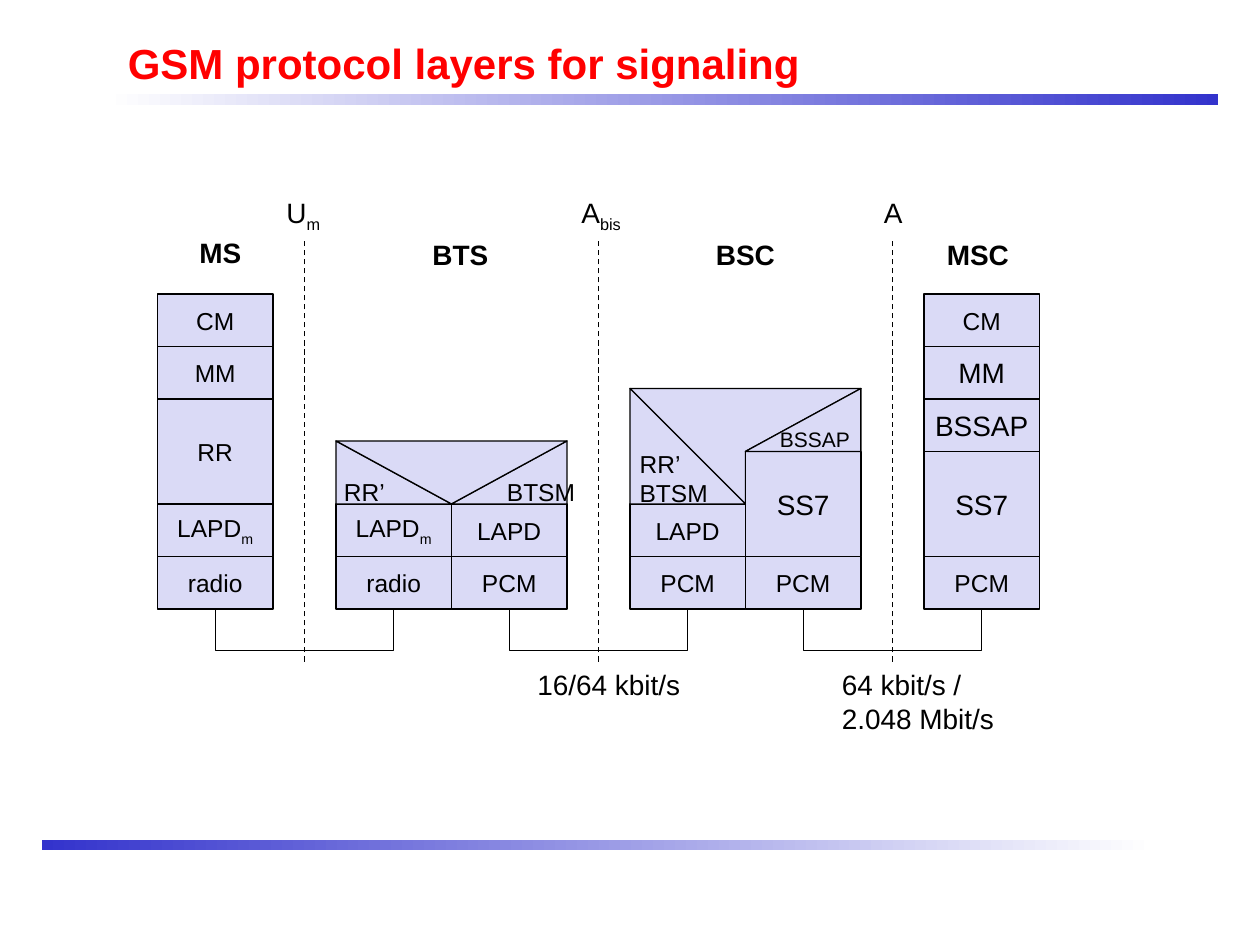
"""Build a slide of the GSM signaling protocol layers."""
from dataclasses import dataclass

from lxml import etree
from pptx import Presentation
from pptx.dml.color import RGBColor
from pptx.enum.dml import MSO_LINE
from pptx.enum.shapes import MSO_CONNECTOR, MSO_SHAPE
from pptx.enum.text import MSO_ANCHOR, MSO_AUTO_SIZE, PP_ALIGN
from pptx.oxml.ns import qn
from pptx.util import Pt

PX = 7620
RECTANGLE = MSO_SHAPE.RECTANGLE
RIGHT_TRIANGLE = MSO_SHAPE.RIGHT_TRIANGLE
TRIANGLE = MSO_SHAPE.ISOSCELES_TRIANGLE
STRAIGHT, ELBOW = MSO_CONNECTOR.STRAIGHT, MSO_CONNECTOR.ELBOW
DASH = MSO_LINE.DASH
MIDDLE, TOP = MSO_ANCHOR.MIDDLE, MSO_ANCHOR.TOP
LEFT, CENTER = PP_ALIGN.LEFT, PP_ALIGN.CENTER
FIT_SHAPE = MSO_AUTO_SIZE.SHAPE_TO_FIT_TEXT

BLUE, WHITE, BLACK, RED, LAVENDER = "3333CC", "FFFFFF", "000000", "FF0000", "DADAF6"
COLUMN, ROW, BASE = 110, 50, 580
LINK_SPAN, LINK_DROP = 170, 40
INSETS = (12, 6, 12, 6)


@dataclass
class Layer:
    text: str
    size: int = 14
    rows: int = 1
    subscript: str = ""


@dataclass
class Stack:
    left: int
    layers: list[Layer]


@dataclass
class Wedge:
    left: int
    top: int
    width: int
    height: int
    kind: int = RIGHT_TRIANGLE
    flip: str = ""
    text: str = ""
    size: int = 14
    insets: tuple = INSETS
    align: int = CENTER


@dataclass
class Label:
    left: int
    top: int
    width: int
    height: int
    text: str
    subscript: str = ""
    bold: bool = False


@dataclass
class Bar:
    left: int
    top: int
    start: str
    end: str


LAPD_M = Layer("LAPD", subscript="m")
LAPD, PCM, RADIO = Layer("LAPD"), Layer("PCM"), Layer("radio")
CM, SS7 = Layer("CM"), Layer("SS7", 16, 2)

STACKS = [
    Stack(150, [RADIO, LAPD_M, Layer("RR", rows=2), Layer("MM"), CM]),
    Stack(320, [RADIO, LAPD_M]),
    Stack(430, [PCM, LAPD]),
    Stack(600, [PCM, LAPD]),
    Stack(710, [PCM, SS7]),
    Stack(880, [PCM, SS7, Layer("BSSAP", 16), Layer("MM", 16), CM]),
]
WEDGES = [
    Wedge(320, 420, COLUMN, 60, text="RR’", insets=(12, 6, 31, 0)),
    Wedge(430, 420, COLUMN, 60, flip="flipH", text="BTSM", insets=(36, 6, 12, 0)),
    Wedge(320, 420, 2 * COLUMN, 60, TRIANGLE, "flipV"),
    Wedge(600, 370, COLUMN, 110, text="RR’\nBTSM", insets=(0, 6, 12, 0), align=LEFT),
    Wedge(710, 370, COLUMN, 60, flip="flipH", text="BSSAP", size=12, insets=(12, 6, 26, 0)),
]
LABELS = [
    Label(261, 180, 59, 49, "U", "m"),
    Label(542, 180, 65, 49, "A", "bis"),
    Label(830, 180, 44, 44, "A"),
    Label(178, 218, 67, 44, "MS", bold=True),
    Label(400, 220, 80, 44, "BTS", bold=True),
    Label(670, 220, 83, 44, "BSC", bold=True),
    Label(890, 220, 86, 44, "MSC", bold=True),
    Label(500, 630, 164, 44, "16/64 kbit/s"),
    Label(790, 630, 173, 77, "64 kbit/s /\n2.048 Mbit/s"),
]
BARS = [Bar(100, 90, WHITE, BLUE), Bar(40, 800, BLUE, WHITE)]
INTERFACES = [290, 570, 850]
BSC_RELAY = [(820, 370), (600, 370), (710, 480), (710, 430)]


def rgb(value: str) -> RGBColor:
    return RGBColor.from_string(value)


def outline(shape) -> None:
    shape.shadow.inherit = False
    shape.fill.solid()
    shape.fill.fore_color.rgb = rgb(LAVENDER)
    shape.line.color.rgb = rgb(BLACK)
    shape.line.width = Pt(0.75)


def write(shape, text: str, size: int, subscript: str = "", color: str = BLACK,
          bold: bool = False, align: int = LEFT, anchor: int = TOP,
          insets: tuple = INSETS, wrap: bool = False) -> None:
    frame = shape.text_frame
    frame.text = text
    frame.word_wrap = wrap
    frame.vertical_anchor = anchor
    (frame.margin_left, frame.margin_top,
     frame.margin_right, frame.margin_bottom) = [inset * PX for inset in insets]
    if subscript:
        span = frame.paragraphs[-1].add_run()
        span.text = subscript
        span.font._element.set("baseline", "-25000")
    for para in frame.paragraphs:
        para.alignment = align
        for span in para.runs:
            span.font.name = "Arial"
            span.font.size = Pt(size)
            span.font.bold = bold
            span.font.color.rgb = rgb(color)


def add_box(page, kind: int, left: int, top: int, width: int, height: int):
    return page.shapes.add_shape(kind, left * PX, top * PX, width * PX, height * PX)


def add_textbox(page, left: int, top: int, width: int, height: int):
    return page.shapes.add_textbox(left * PX, top * PX, width * PX, height * PX)


def draw_bar(page, bar: Bar) -> None:
    box = add_box(page, RECTANGLE, bar.left, bar.top, 1060, 10)
    box.shadow.inherit = False
    box.line.fill.background()
    box.fill.gradient()
    box.fill.gradient_angle = 0
    for position, (stop, color) in enumerate(zip(box.fill.gradient_stops, (bar.start, bar.end))):
        stop.position = position
        stop.color.rgb = rgb(color)


def draw_relay(page, points: list[tuple[int, int]]) -> None:
    builder = page.shapes.build_freeform(*points[0], scale=PX)
    builder.add_line_segments(points[1:], close=True)
    outline(builder.convert_to_shape())


def draw_stack(page, stack: Stack) -> None:
    top = BASE
    for layer in stack.layers:
        height = layer.rows * ROW
        top -= height
        box = add_box(page, RECTANGLE, stack.left, top, COLUMN, height)
        outline(box)
        write(box, layer.text, layer.size, layer.subscript, align=CENTER, anchor=MIDDLE)


def draw_wedge(page, wedge: Wedge) -> None:
    shape = add_box(page, wedge.kind, wedge.left, wedge.top, wedge.width, wedge.height)
    outline(shape)
    if wedge.flip:
        shape._element.spPr.get_or_add_xfrm().set(wedge.flip, "1")
    if wedge.text:
        write(shape, wedge.text, wedge.size, align=wedge.align, anchor=MIDDLE, insets=wedge.insets)


def draw_label(page, label: Label) -> None:
    box = add_textbox(page, label.left, label.top, label.width, label.height)
    write(box, label.text, 16, label.subscript, bold=label.bold)
    box.text_frame.auto_size = FIT_SHAPE


def add_line(page, kind: int, start: tuple[int, int], end: tuple[int, int]):
    line = page.shapes.add_connector(kind, *[value * PX for value in start + end])
    line.line.color.rgb = rgb(BLACK)
    line.line.width = Pt(0.75)
    etree.SubElement(line._element.spPr, qn("a:effectLst"))
    return line


def draw_interface(page, x: int) -> None:
    top = BASE - LINK_SPAN // 2
    link = add_line(page, ELBOW, (x, top), (x, top + LINK_SPAN))
    link.width = PX // 3
    properties = link._element.spPr
    frame = properties.find(qn("a:xfrm"))
    frame.set("rot", "16200000")
    frame.set("flipH", "1")
    adjustments = properties.find(qn("a:prstGeom")).find(qn("a:avLst"))
    etree.SubElement(adjustments, qn("a:gd"), name="adj1", fmla=f"val {LINK_DROP * 3 * 100000}")
    add_line(page, STRAIGHT, (x, 630), (x, 230)).line.dash_style = DASH


def main() -> None:
    deck = Presentation()
    deck.slide_width, deck.slide_height = 1200 * PX, 900 * PX
    page = deck.slides.add_slide(deck.slide_layouts[6])
    for bar in BARS:
        draw_bar(page, bar)
    title = add_textbox(page, 110, 30, 1020, 60)
    write(title, "GSM protocol layers for signaling", 24, color=RED, bold=True,
          anchor=MIDDLE, wrap=True)
    draw_relay(page, BSC_RELAY)
    for items, draw in ((STACKS, draw_stack), (WEDGES, draw_wedge),
                        (INTERFACES, draw_interface), (LABELS, draw_label)):
        for item in items:
            draw(page, item)
    deck.save("out.pptx")


if __name__ == "__main__":
    main()
